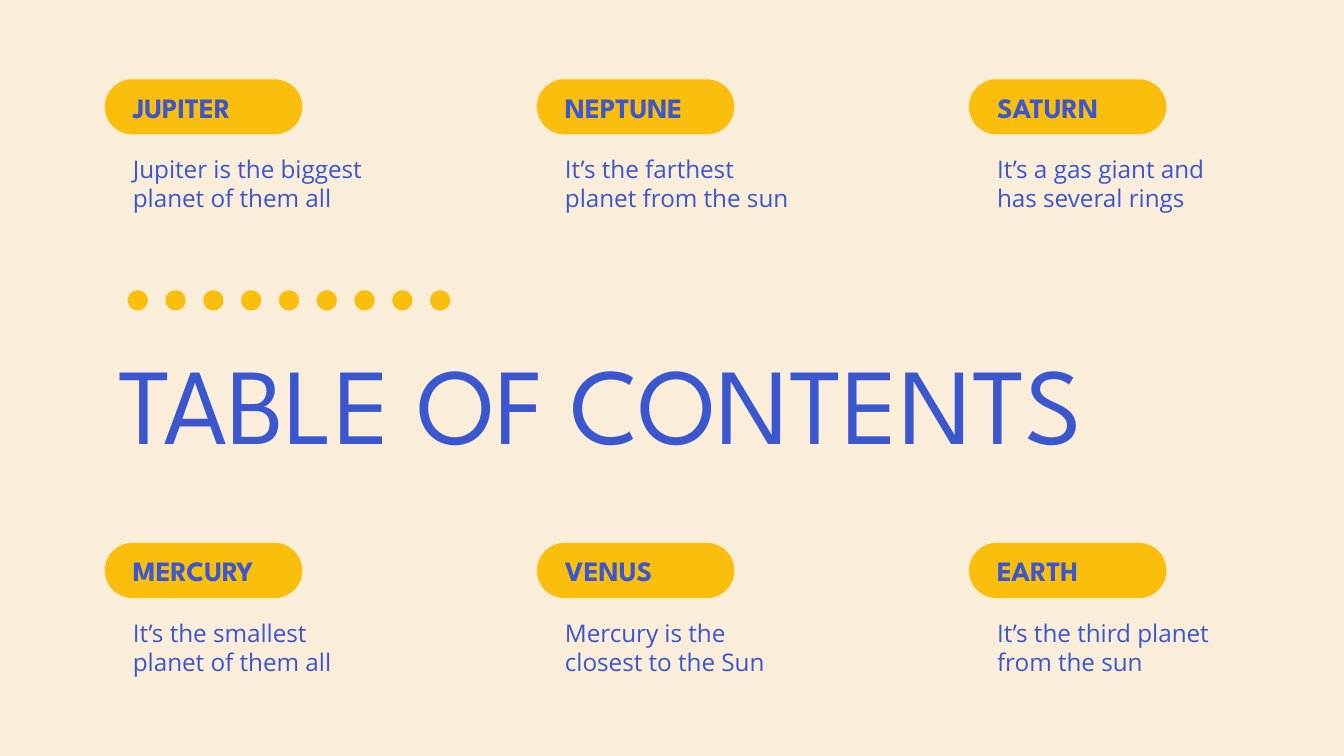
import pptx
import pptx.util
import pptx.dml.color
import pptx.enum.shapes
import pptx.enum.text

Inches = pptx.util.Inches
Shape = pptx.enum.shapes.MSO_SHAPE
Anchor = pptx.enum.text.MSO_ANCHOR

CREAM, GOLD, BLUE = "FAEDD9", "FABE0C", "3B57CF"
HEAD, BODY = "League Spartan", "Open Sans"
LEFT, RIGHT = 0.78, 7.21  # first and last column
STEP = (RIGHT - LEFT) / 2
DOTS, FIRST, LAST = 9, 0.95, 3.2  # dot count and end places

ROWS = [
    (0.59, [
        ("JUPITER", "Jupiter is the biggest planet of them all"),
        ("NEPTUNE", "It’s the farthest planet from the sun"),
        ("SATURN", "It’s a gas giant and has several rings"),
    ]),
    (4.04, [
        ("MERCURY", "It’s the smallest planet of them all"),
        ("VENUS", "Mercury is the closest to the Sun"),
        ("EARTH", "It’s the third planet from the sun"),
    ]),
]


def paint(fill, color):
    fill.solid()
    fill.fore_color.rgb = pptx.dml.color.RGBColor.from_string(color)


def add_form(slide, kind, x, y, w, h):
    form = slide.shapes.add_shape(kind, Inches(x), Inches(y), Inches(w), Inches(h))
    form.shadow.inherit = False
    paint(form.fill, GOLD)
    form.line.fill.background()
    return form


def set_text(box, text, font, size, bold=False, anchor=Anchor.TOP):
    frame = box.text_frame
    frame.text = text
    frame.word_wrap = True
    frame.auto_size = pptx.enum.text.MSO_AUTO_SIZE.NONE
    frame.vertical_anchor = anchor
    frame.margin_left = frame.margin_right = Inches(0.1)
    frame.margin_top = frame.margin_bottom = Inches(0.1)
    line = frame.paragraphs[0]
    line.alignment = pptx.enum.text.PP_ALIGN.LEFT
    face = line.runs[0].font
    face.name, face.size, face.bold = font, pptx.util.Pt(size), bold
    paint(face.fill, BLUE)


def add_text(slide, x, y, h, *style):
    box = slide.shapes.add_textbox(Inches(x), Inches(y), Inches(1.91), Inches(h))
    set_text(box, *style)


def add_entry(slide, x, y, name, note):
    pill = add_form(slide, Shape.ROUNDED_RECTANGLE, x, y, 1.47, 0.41)
    pill.adjustments[0] = 0.5
    add_text(slide, x + 0.11, y, 0.41, name, HEAD, 15, True, Anchor.MIDDLE)
    add_text(slide, x + 0.11, y + 0.46, 0.52, note, BODY, 13)


def add_title(slide, text):
    title = slide.shapes.title
    title.left, title.top = Inches(LEFT), Inches(2.4)
    title.width, title.height = Inches(8.44), Inches(1.06)
    set_text(title, text, HEAD, 58)


def main():
    # Widescreen page, 16 to 9
    deck = pptx.Presentation()
    deck.slide_width = Inches(10)
    deck.slide_height = Inches(10) * 9 // 16
    slide = deck.slides.add_slide(deck.slide_layouts[5])
    paint(slide.background.fill, CREAM)

    # Planet entries in a grid
    for y, row in ROWS:
        for col, (name, note) in enumerate(row):
            add_entry(slide, LEFT + col * STEP, y, name, note)

    # Dotted accent above the title
    gap = (LAST - FIRST) / (DOTS - 1)
    for dot in range(DOTS):
        add_form(slide, Shape.OVAL, FIRST + dot * gap, 2.16, 0.15, 0.15)

    add_title(slide, "TABLE OF CONTENTS")
    deck.save("out.pptx")


if __name__ == "__main__":
    main()
